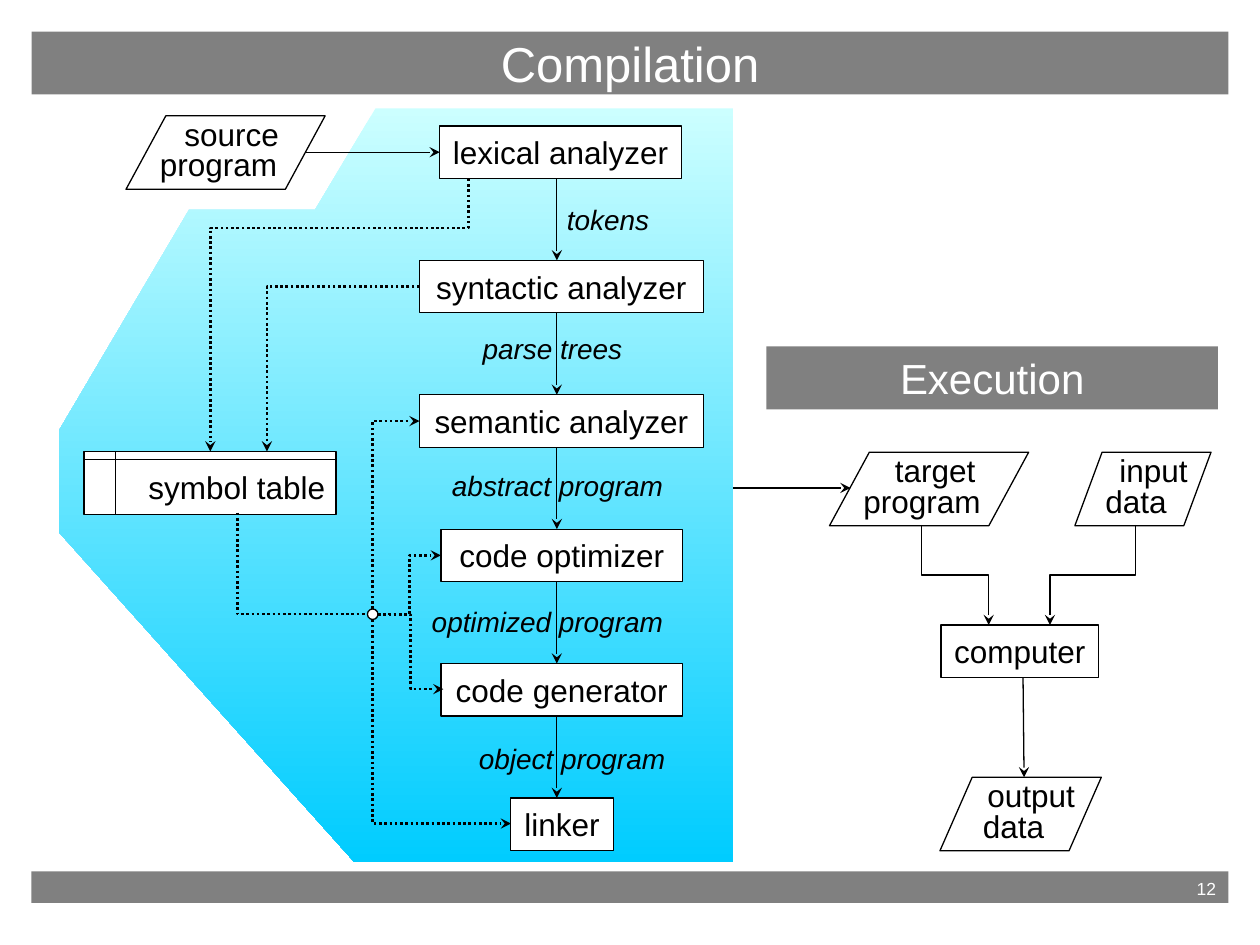
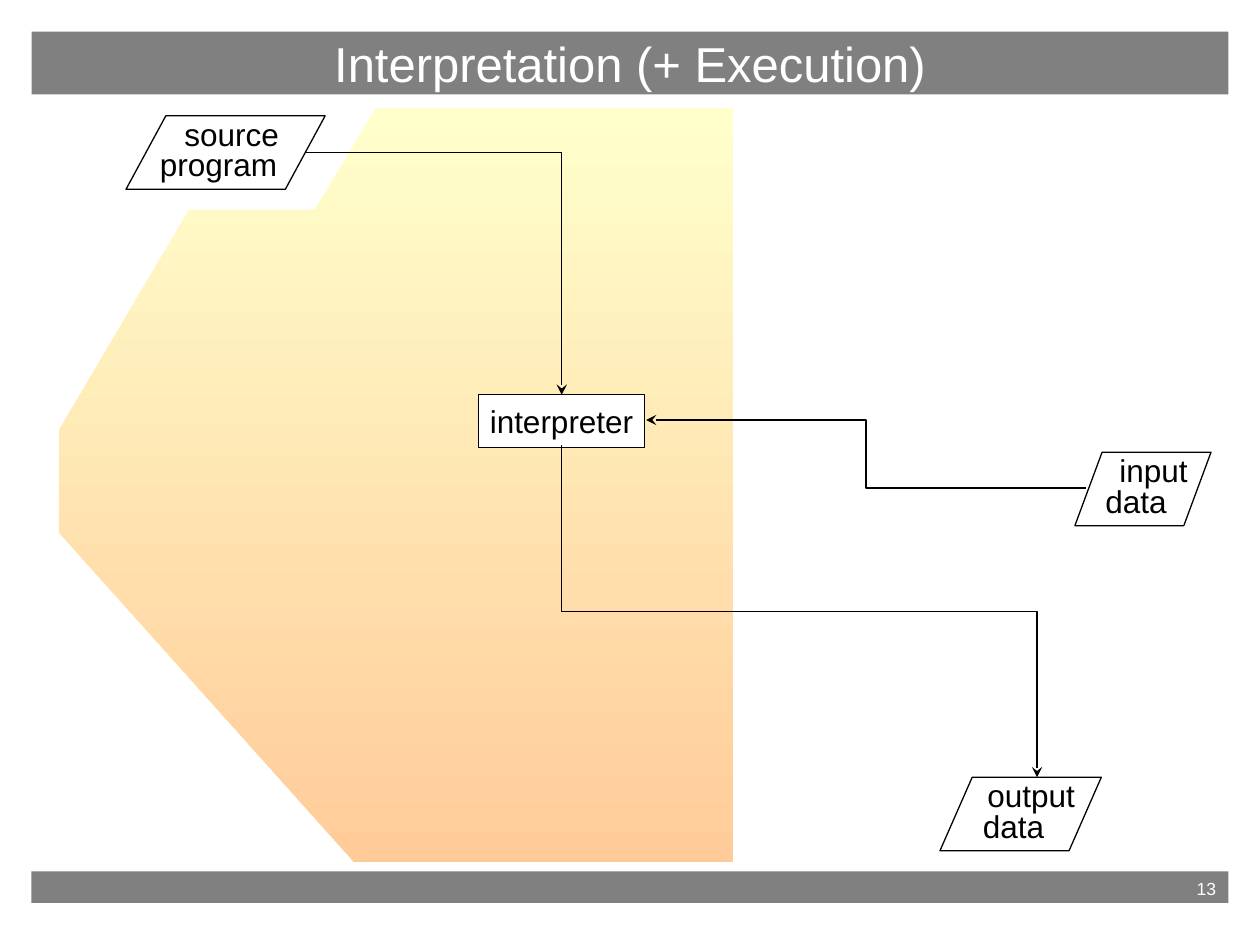
from lxml.etree import SubElement
from pptx import Presentation
from pptx.dml.color import RGBColor
from pptx.enum.dml import MSO_LINE
from pptx.enum.shapes import MSO_CONNECTOR, MSO_SHAPE
from pptx.enum.text import MSO_ANCHOR, MSO_AUTO_SIZE, PP_ALIGN
from pptx.oxml.ns import qn
from pptx.util import Pt

GREY, WHITE, BLACK = "808080", "FFFFFF", "000000"
BODY = {"name": "Arial", "size": Pt(18)}
LABEL = {"name": "Arial", "size": Pt(16), "italic": True}
HEAD = {"name": "Arial", "size": Pt(28)}
PART = {"name": "Arial", "size": Pt(24)}
NUMBER = {"name": "Arial", "size": Pt(10)}
DOTTED = {"width": Pt(1.5), "dash_style": MSO_LINE.ROUND_DOT}
SOLID = {"width": Pt(0.75)}

PANEL = [(214.6, 61.9), (419, 61.9), (419, 492.5), (202.5, 492.5),
         (33.8, 304.2), (33.8, 245.9), (108, 120), (180, 120)]
BOX_H = 30
DATA_H = 42
STEP = 76.8
STAGES = [("lexical analyzer", 251.3, 138), ("syntactic analyzer", 239.8, 162),
          ("semantic analyzer", 239.8, 162), ("code optimizer", 252, 138),
          ("code generator", 252, 138), ("linker", 291.6, 59)]
RESULTS = [("tokens", 347.4, 112.3), ("parse trees", 315.7, 185.8),
           ("abstract program", 318.6, 264.2),
           ("optimized program", 312.8, 342), ("object program", 326.9, 419.8)]
FLOW_X = 318.2


def color(code):
    return RGBColor.from_string(code)


def apply(target, values):
    for name, value in values.items():
        setattr(target, name, value)


class Deck:
    def __init__(self):
        self.show = Presentation()
        apply(self.show, {"slide_width": Pt(720), "slide_height": Pt(540)})
        self.slide = None

    def page(self, title, number):
        self.slide = self.show.slides.add_slide(self.show.slide_layouts[5])
        bar = self.slide.shapes.title
        apply(bar, {"left": Pt(18), "top": Pt(18),
                    "width": Pt(684), "height": Pt(36)})
        self.paint(bar, GREY)
        self.letter(bar, title, HEAD, WHITE, wrap=True)
        foot = self.shape(MSO_SHAPE.RECTANGLE, 18, 498, 684, 18, GREY)
        self.letter(foot, str(number), NUMBER, WHITE, PP_ALIGN.RIGHT,
                    MSO_ANCHOR.TOP, wrap=True)

    def paint(self, shape, fill, line=None):
        shape.fill.solid()
        shape.fill.fore_color.rgb = color(fill)
        if line:
            shape.line.color.rgb = color(line)
            shape.line.width = Pt(0.75)
        else:
            shape.line.fill.background()

    def letter(self, shape, text, font, ink=BLACK, align=PP_ALIGN.CENTER,
               anchor=MSO_ANCHOR.MIDDLE, wrap=False, pad=(7.2, 7.2),
               lead=0, spacing=None):
        """Fill a shape with text; lead indents the first line."""
        frame = shape.text_frame
        frame.text = text
        apply(frame, {"word_wrap": wrap, "auto_size": MSO_AUTO_SIZE.NONE,
                      "vertical_anchor": anchor,
                      "margin_left": Pt(pad[0]), "margin_right": Pt(pad[1]),
                      "margin_top": Pt(3.6), "margin_bottom": Pt(3.6)})
        for part in frame.paragraphs:
            apply(part, {"alignment": align, "space_before": Pt(0)})
            if spacing:
                part.line_spacing = spacing
            apply(part.font, font)
            part.font.color.rgb = color(ink)
        if lead:
            props = frame.paragraphs[0]._p.get_or_add_pPr()
            props.set("marL", str(Pt(lead)))

    def shape(self, kind, x, y, w, h, fill=WHITE, line=None):
        shape = self.slide.shapes.add_shape(kind, Pt(x), Pt(y), Pt(w), Pt(h))
        shape.shadow.inherit = False
        self.paint(shape, fill, line)
        return shape

    def box(self, text, x, y, w):
        shape = self.shape(MSO_SHAPE.FLOWCHART_PROCESS, x, y, w, BOX_H,
                           line=BLACK)
        self.letter(shape, text, BODY)
        return shape

    def data(self, text, x, y, w, lead):
        shape = self.shape(MSO_SHAPE.FLOWCHART_DATA, x, y, w, DATA_H,
                           line=BLACK)
        self.letter(shape, text, BODY, pad=(0, 8), lead=lead, spacing=0.8)

    def label(self, text, mid, y):
        w = 150
        box = self.slide.shapes.add_textbox(Pt(mid - w / 2), Pt(y),
                                            Pt(w), Pt(26.6))
        self.letter(box, text, LABEL)

    def panel(self, top, bottom):
        start, *rest = [(Pt(x), Pt(y)) for x, y in PANEL]
        form = self.slide.shapes.build_freeform(*start)
        form.add_line_segments(rest)
        shape = form.convert_to_shape()
        shape.shadow.inherit = False
        shape.line.fill.background()
        shape.fill.gradient()
        shape.fill.gradient_angle = 270
        for stop, code in zip(shape.fill.gradient_stops, (top, bottom)):
            stop.color.rgb = color(code)

    def finish(self, link, style, arrow):
        link.line.color.rgb = color(BLACK)
        apply(link.line, style)
        props = link._element.spPr
        if arrow:
            SubElement(props.find(qn("a:ln")), qn("a:tailEnd"), type="stealth")
        SubElement(props, qn("a:effectLst"))
        return link

    def arrow(self, x1, y1, x2, y2):
        link = self.slide.shapes.add_connector(
            MSO_CONNECTOR.STRAIGHT, Pt(x1), Pt(y1), Pt(x2), Pt(y2))
        return self.finish(link, SOLID, True)

    def elbow(self, x1, y1, x2, y2, upright=False, corner=False,
              bend=None, style=SOLID, arrow=True):
        """Bent line; upright leaves vertically, corner turns only once."""
        ends = x1, y1, x2, y2
        if upright:
            # Lay the line flat about its centre, then turn it a quarter.
            dx, dy = x2 - x1, y2 - y1
            mx, my = (x1 + x2) / 2, (y1 + y2) / 2
            half, rise = abs(dy) / 2, abs(dx) / 2
            if (dx > 0) == (dy > 0):
                rise = -rise
            ends = mx - half, my - rise, mx + half, my + rise
        link = self.slide.shapes.add_connector(
            MSO_CONNECTOR.ELBOW, *[Pt(end) for end in ends])
        props = link._element.spPr
        if upright:
            turn = 90 if y2 > y1 else 270
            props.find(qn("a:xfrm")).set("rot", str(turn * 60000))
        shape = props.find(qn("a:prstGeom"))
        if corner:
            shape.set("prst", "bentConnector2")
        if bend:
            guides = shape.find(qn("a:avLst"))
            if guides is None:
                guides = SubElement(shape, qn("a:avLst"))
            SubElement(guides, qn("a:gd"), name="adj1",
                       fmla=f"val {round(bend * 100000)}")
        self.finish(link, style, arrow)

    def source(self):
        self.data("source\nprogram", 72, 66.2, 113.8, 15)

    def results(self):
        self.data("input\ndata", 614.2, 258.4, 77.8, 20)
        self.data("output\ndata", 537.1, 444.2, 92.2, 20)


def compilation(deck):
    deck.page("Compilation", 12)
    deck.panel("CCFFFF", "00CCFF")
    deck.source()
    boxes = [deck.box(text, x, 72 + row * STEP, w)
             for row, (text, x, w) in enumerate(STAGES)]

    table = deck.shape(MSO_SHAPE.FLOWCHART_INTERNAL_STORAGE,
                       48, 258, 144, 36, line=BLACK)
    deck.letter(table, "symbol table", BODY, pad=(12.8, 0))

    for row, result in enumerate(RESULTS):
        y = 72 + row * STEP
        deck.arrow(FLOW_X, y + BOX_H, FLOW_X, y + STEP)
        deck.label(*result)
    deck.arrow(174.2, 87, 251.3, 87).end_connect(boxes[0], 1)

    dots = {"style": DOTTED}
    deck.elbow(267.8, 102.2, 120.2, 258, upright=True, bend=0.18, **dots)
    deck.elbow(239.8, 163.6, 152.6, 258, corner=True, **dots)
    deck.elbow(135.6, 293, 210, 351, upright=True, corner=True,
               arrow=False, **dots)
    deck.elbow(213, 348, 239.8, 240.6, upright=True, corner=True, **dots)
    deck.elbow(216, 351, 252, 317.4, **dots)
    deck.elbow(216, 351, 253.4, 393.8, **dots)
    deck.elbow(213, 354, 292, 470.6, upright=True, corner=True, **dots)
    deck.shape(MSO_SHAPE.FLOWCHART_CONNECTOR, 210, 348, 6, 6, line=BLACK)

    part = deck.shape(MSO_SHAPE.RECTANGLE, 438, 198, 258, 36, GREY)
    deck.letter(part, "Execution", PART, WHITE, wrap=True)
    deck.data("target\nprogram", 474, 258.4, 113.8, 15)
    deck.results()
    deck.box("computer", 537.8, 357.2, 90)
    deck.arrow(419, 278.8, 486, 278.8)
    deck.elbow(526.8, 300, 565, 357.2, upright=True)
    deck.elbow(648.8, 300, 600, 357.2, upright=True)
    deck.arrow(584.6, 387.2, 585.2, 444.2)


def interpretation(deck):
    deck.page("Interpretation (+ Execution)", 13)
    deck.panel("FFFFCC", "FFCC99")
    deck.source()
    deck.box("interpreter", 273.4, 225.6, 95)
    deck.results()
    deck.elbow(174.2, 87, 321, 225.6, corner=True)
    deck.elbow(620.6, 278.8, 369.2, 240)
    deck.elbow(321, 254.4, 592.6, 444.2, upright=True)


def main():
    deck = Deck()
    compilation(deck)
    interpretation(deck)
    deck.show.save("out.pptx")


if __name__ == "__main__":
    main()
